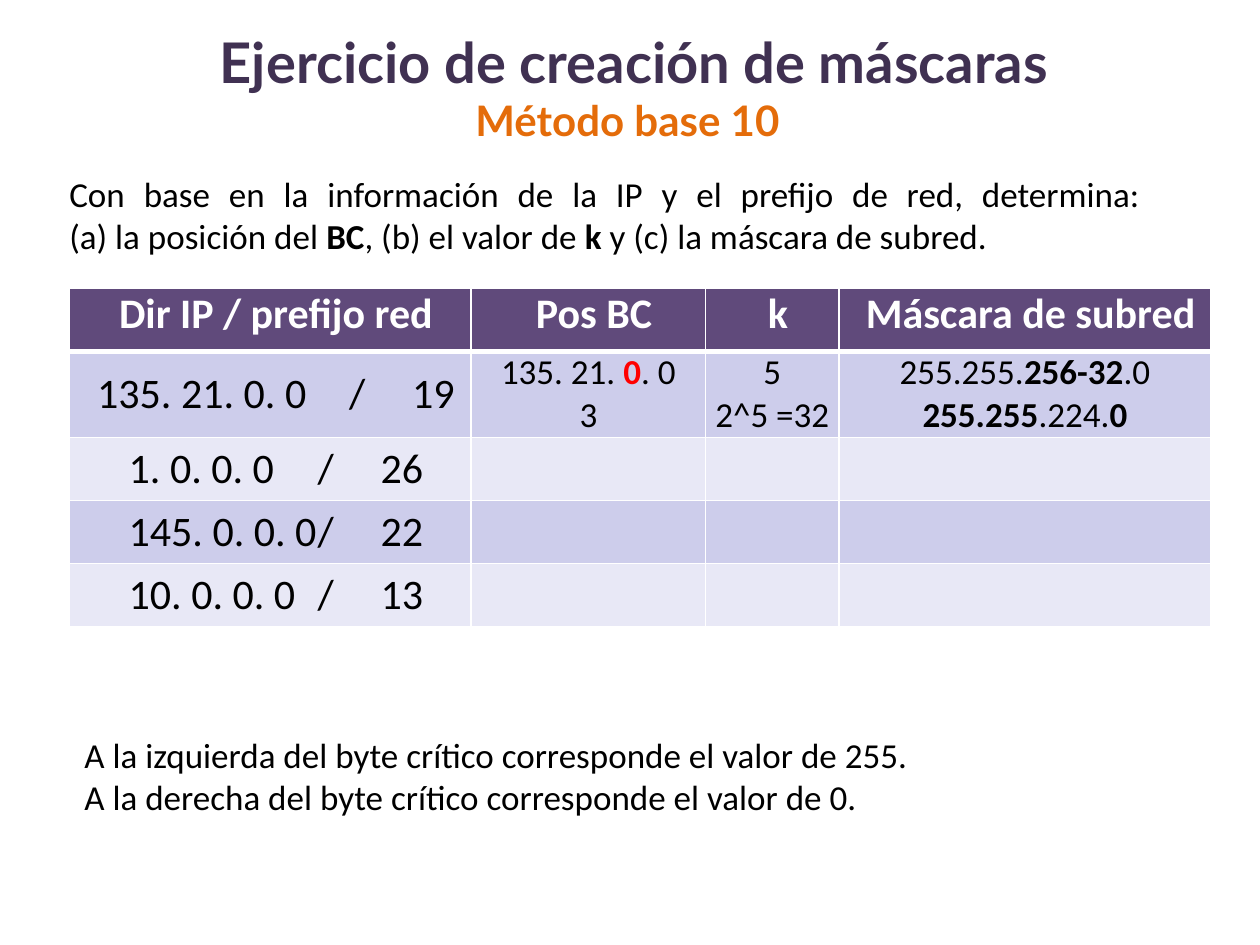
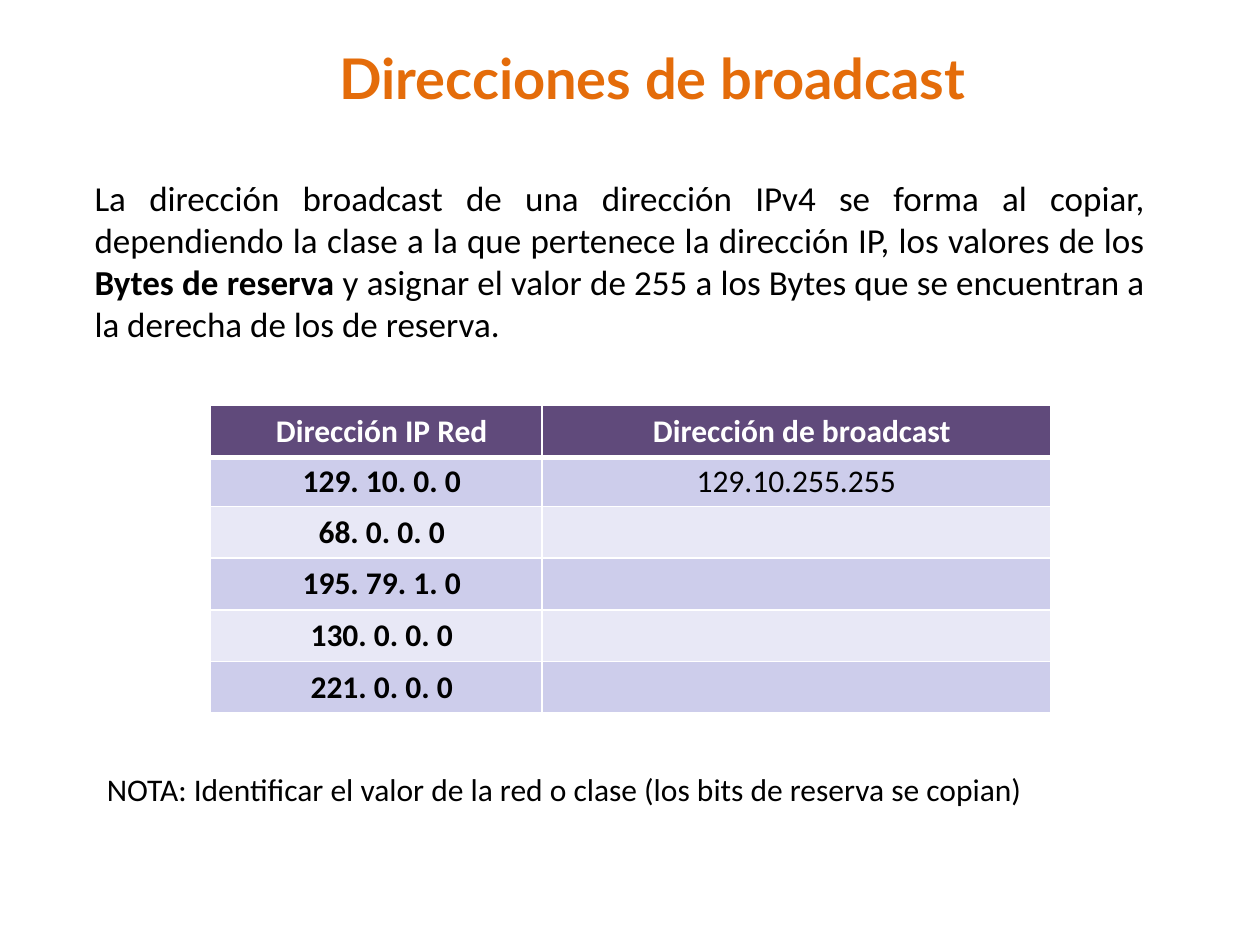
"""Build two slides of subnet mask and broadcast exercises."""
from dataclasses import dataclass

from lxml.etree import SubElement
from pptx import Presentation
from pptx.dml.color import RGBColor
from pptx.enum.text import MSO_ANCHOR, MSO_AUTO_SIZE, PP_ALIGN
from pptx.oxml import parse_xml
from pptx.oxml.ns import nsdecls, qn
from pptx.util import Inches, Pt

BLACK, WHITE, RED = "000000", "FFFFFF", "FF0000"
PLUM, DARK, ORANGE = "604A7B", "403152", "E46C0A"
BANDS = ("CDCDEB", "E8E8F6")
HEAD, BODY = "Lato", "Calibri"


@dataclass(frozen=True)
class Box:
    """Place of a frame in inches."""
    left: float
    top: float
    width: float
    height: float


@dataclass(frozen=True)
class Cell:
    """Text and format of one table cell."""
    text: str = ""
    size: int = 20
    bold: bool = False
    mark: str = BLACK
    indent: float = 0
    tabs: tuple[float, ...] = ()


@dataclass(frozen=True)
class Grid:
    """Place, sizes and cells of one table."""
    box: Box
    cols: tuple[float, ...]
    rows: tuple[float, ...]
    names: tuple[str, ...]
    size: int
    anchor: MSO_ANCHOR
    cells: tuple[tuple[Cell, ...], ...]


def tint(code: str) -> RGBColor:
    """Turn a hex string into a colour."""
    return RGBColor.from_string(code)


def put(par, text: str, *, size: int, font: str = BODY, color: str = BLACK,
        bold: bool = False, mark: str = "", align=PP_ALIGN.JUSTIFY,
        indent: float = 0, tabs: tuple[float, ...] = ()) -> None:
    """Write a paragraph whose parts between asterisks are bold."""
    par.alignment = align
    par.space_before = Pt(0)
    props = par._p.get_or_add_pPr()
    props.set("marL", str(Inches(indent)))
    props.set("indent", "0")
    SubElement(props, qn("a:buNone"))
    if tabs:
        stops = SubElement(props, qn("a:tabLst"))
        for tab in tabs:
            SubElement(stops, qn("a:tab"), pos=str(Inches(tab)), algn="l")
    for num, part in enumerate(text.split("*")):
        if part:
            run = par.add_run()
            run.text = part
            run.font.name = font
            run.font.size = Pt(size)
            run.font.bold = bold or num % 2 == 1
            run.font.color.rgb = tint(mark if mark and num % 2 else color)


def lines(frame, text: str, **style) -> None:
    """Write each line of a text as its own paragraph."""
    for num, line in enumerate(text.split("\n")):
        par = frame.add_paragraph() if num else frame.paragraphs[0]
        put(par, line, **style)


def fit(shape, box: Box, pad: tuple[float, ...] = (0, 0, 0, 0)):
    """Place a text shape, set its insets and return its frame."""
    shape.left, shape.top = Inches(box.left), Inches(box.top)
    shape.width, shape.height = Inches(box.width), Inches(box.height)
    frame = shape.text_frame
    frame.word_wrap = True
    frame.auto_size = MSO_AUTO_SIZE.NONE
    (frame.margin_left, frame.margin_top,
     frame.margin_right, frame.margin_bottom) = map(Inches, pad)
    return frame


def edge(cell, row: int) -> None:
    """Draw white cell borders, thick below the header."""
    props = cell._tc.get_or_add_tcPr()
    wide = {"T": row == 1, "B": row == 0}
    for num, side in enumerate("LRTB"):
        width = Pt(3 if wide.get(side) else 1)
        props.insert(num, parse_xml(
            f'<a:ln{side} {nsdecls("a")} w="{width}"><a:solidFill>'
            f'<a:srgbClr val="{WHITE}"/></a:solidFill></a:ln{side}>'))


def draw(slide, grid: Grid) -> None:
    """Draw a banded table with a header row."""
    box = grid.box
    table = slide.shapes.add_table(
        len(grid.rows), len(grid.cols), Inches(box.left), Inches(box.top),
        Inches(box.width), Inches(box.height)).table
    for col, width in zip(table.columns, grid.cols):
        col.width = Inches(width)
    for row, height in zip(table.rows, grid.rows):
        row.height = Inches(height)
    head = tuple(Cell(name, grid.size, True, indent=0.09)
                 for name in grid.names)
    for row, items in enumerate((head, *grid.cells)):
        for col in range(len(grid.cols)):
            cell = table.cell(row, col)
            cell.fill.solid()
            cell.fill.fore_color.rgb = tint(
                BANDS[(row - 1) % 2] if row else PLUM)
            edge(cell, row)
            cell.margin_left = cell.margin_right = 0
            cell.margin_top = cell.margin_bottom = 0
            cell.vertical_anchor = MSO_ANCHOR.MIDDLE if row else grid.anchor
            if col < len(items):
                item = items[col]
                lines(cell.text_frame, item.text, size=item.size,
                      bold=item.bold, mark=item.mark if row else WHITE,
                      color=BLACK if row else WHITE, indent=item.indent,
                      tabs=item.tabs, align=PP_ALIGN.CENTER)


def start(deck, box: Box, pad: tuple[float, ...], intro: str, area: Box):
    """Add a slide with its intro and return it with its title frame."""
    slide = deck.slides.add_slide(deck.slide_layouts[1])
    title = fit(slide.shapes.title, box, pad)
    title.vertical_anchor = MSO_ANCHOR.MIDDLE
    lines(fit(slide.placeholders[1], area), intro, size=20)
    return slide, title


def note(slide, text: str, box: Box, size: int,
         pad: tuple[float, ...] = (0, 0, 0, 0)) -> None:
    """Add a text box below the table."""
    lines(fit(slide.shapes.add_textbox(0, 0, 0, 0), box, pad),
          text, size=size)


def masks(deck) -> None:
    """Build the slide on subnet masks."""
    slide, title = start(
        deck, Box(0.08, 0.06, 9.8, 1.25), (0.1, 0.05, 0.1, 0.05),
        "Con base en la información de la IP y el prefijo de red, determina: "
        "(a)\u00a0la\u00a0posición del *BC*, (b) el valor de *k* y (c) "
        "la máscara de subred.", Box(0.55, 1.37, 8.5, 0.67))
    style = dict(font=HEAD, bold=True, align=PP_ALIGN.CENTER)
    put(title.paragraphs[0], " Ejercicio de creación de máscaras",
        size=32, color=DARK, **style)
    put(title.add_paragraph(), "Método base 10",
        size=24, color=ORANGE, **style)
    nets = (("135. 21. 0. 0\t/\t19", 1.93), ("1. 0. 0. 0\t/\t26", 1.43),
            ("145. 0. 0. 0\t/\t22", 1.76), ("10. 0. 0. 0\t/\t13", 1.59))
    first, *rest = [(Cell(text, 24, indent=0.09, tabs=(tab, tab + 0.26)),)
                    for text, tab in nets]
    solved = (Cell("135. 21. *0*. 0\n3", mark=RED), Cell("5\n2^5 =32"),
              Cell("255.255.*256-32*.0\n*255.255*.224.*0*"))
    draw(slide, Grid(
        Box(0.55, 2.29, 9.06, 2.51), (3.19, 1.86, 1.06, 2.95),
        (0.5,) * 5,
        ("Dir IP / prefijo red", "Pos BC", "k", "Máscara de subred"),
        24, MSO_ANCHOR.TOP, (first + solved, *rest)))
    note(slide, "A la izquierda del byte crítico corresponde el valor de 255."
         "\nA la derecha del byte crítico corresponde el valor de 0.",
         Box(0.67, 5.82, 8.5, 0.67), 20)


def casts(deck) -> None:
    """Build the slide on broadcast addresses."""
    slide, title = start(
        deck, Box(-0.12, 0.13, 9, 0.75), (0, 0.21, 0, 0),
        "La dirección broadcast de una dirección IPv4 se forma al copiar, "
        "dependiendo la clase a la que pertenece la dirección IP, los "
        "valores de los *Bytes de reserva* y asignar el valor de 255 a los "
        "Bytes que se encuentran a la derecha de los de reserva.",
        Box(0.75, 1.4, 8.34, 1.35))
    put(title.paragraphs[0], "Direcciones de broadcast", size=32, font=HEAD,
        color=ORANGE, bold=True, align=PP_ALIGN.CENTER, indent=1.6)
    nets = ("129. 10. 0. 0", "68. 0. 0. 0", "195. 79. 1. 0",
            "130. 0. 0. 0", "221. 0. 0. 0")
    first, *rest = [(Cell(net, 18, True, indent=0.09),) for net in nets]
    draw(slide, Grid(
        Box(1.67, 3.22, 6.67, 2.43), (2.63, 4.04),
        (0.41, 0.39) + (0.41,) * 4,
        ("Dirección IP Red", "Dirección de broadcast"),
        18, MSO_ANCHOR.MIDDLE, (first + (Cell("129.10.255.255", 18),), *rest)))
    note(slide, "NOTA: Identificar el valor de la red o clase "
         "(los bits de reserva se copian)",
         Box(0.75, 6.06, 8.34, 0.4), 18, (0.1, 0.05, 0.1, 0.05))


def main() -> None:
    """Build and save the deck."""
    deck = Presentation()
    deck.slide_width, deck.slide_height = Inches(10), Inches(7.5)
    masks(deck)
    casts(deck)
    deck.save("out.pptx")


main()
